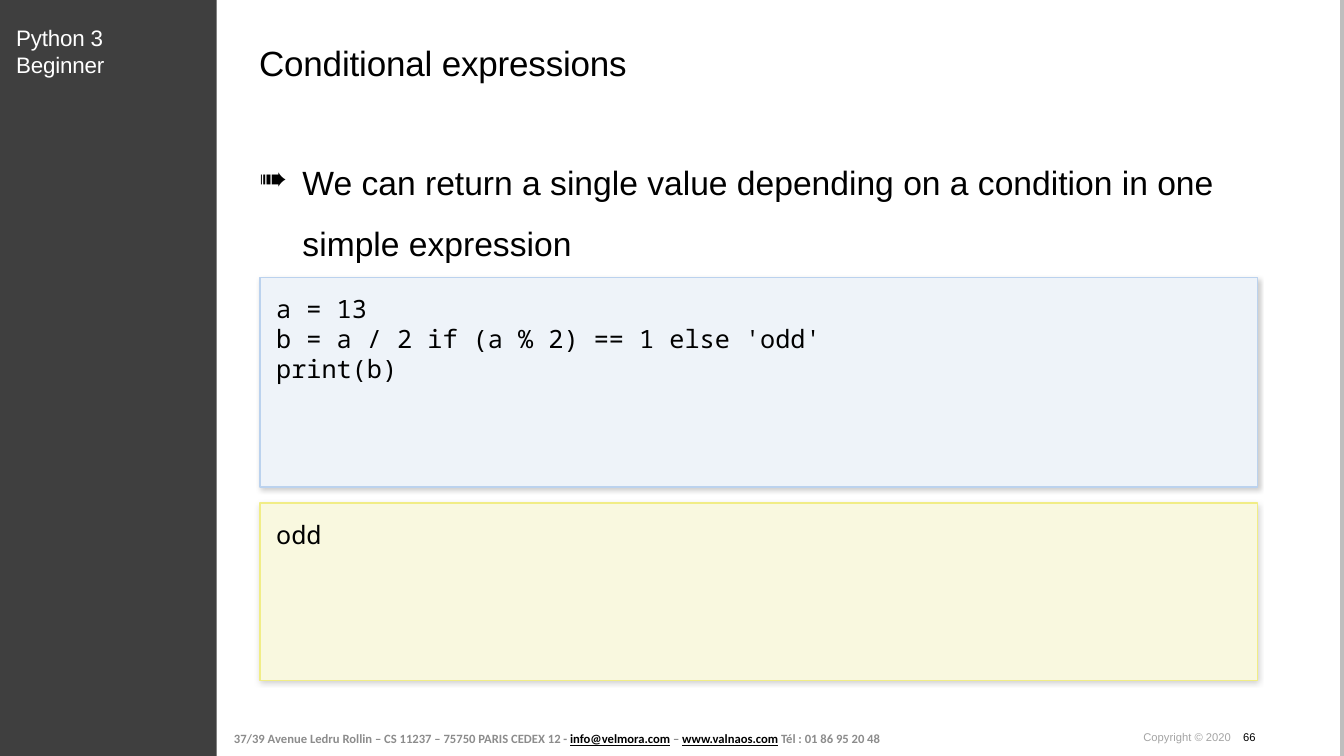
from dataclasses import dataclass

from lxml import etree
from pptx import Presentation
from pptx import util as u
from pptx.dml.color import RGBColor
from pptx.enum import shapes, text
from pptx.oxml import ns


@dataclass(frozen=True)
class Theme:
    sans: str = "Arial"
    footer_font: str = "Calibri"
    mono: str = "Noto Sans Mono"
    ink: str = "000000"
    white: str = "FFFFFF"
    sidebar: str = "3F3F3F"
    edge: str = "BEBEBE"
    footer: str = "8C8C8C"
    copyright: str = "A4A4A4"
    code: tuple = ("EEF3F9", "BBD2EE")
    output: tuple = ("F9F8DF", "F1ED86")
    title_size: float = 25
    body_size: float = 24
    code_size: float = 18
    course_size: float = 16
    footer_size: float = 9
    copyright_size: float = 8


T = Theme()
COURSE = "Python 3 Beginner"
TITLE = "Conditional expressions"
POINT = "We can return a single value depending on a condition in one simple expression"
CODE = ["a = 13", "b = a / 2 if (a % 2) == 1 else 'odd'", "print(b)"]
OUTPUT = ["odd"]
ADDRESS = [
    ("37/39 Avenue Ledru Rollin – CS 11237 – 75750 PARIS CEDEX 12 - ", False),
    ("info@velmora.com", True),
    (" – ", False),
    ("www.valnaos.com", True),
    (" Tél : 01 86 95 20 48", False),
]
COPYRIGHT = "Copyright © 2020"
PAGE = "66"

WIDTH, HEIGHT = 13.33, 7.5
SIDEBAR_WIDTH = 2.15
LEFT, PANEL_WIDTH = 2.58, 9.89
PANEL_TOP, PANEL_GAP = 2.75, 0.16
PANELS = [(CODE, T.code, 2.08), (OUTPUT, T.output, 1.76)]
BULLET_INDENT = 0.43
PAGE_TAB = 0.99


def rgb(value):
    return RGBColor.from_string(value)


def child(parent, tag, **attrs):
    return etree.SubElement(parent, ns.qn(tag), attrs)


def add_run(p, words, size, color, font=T.sans, spacing=0):
    r = p.add_run()
    r.text = words
    r.font.size = u.Pt(size)
    r.font.name = font
    r.font.color.rgb = rgb(color)
    if spacing:
        r.font._element.set("spc", str(spacing))
    return r


def set_frame(sp, inset_x=0, inset_y=0, anchor=text.MSO_ANCHOR.TOP):
    tf = sp.text_frame
    tf.word_wrap = True
    tf.auto_size = text.MSO_AUTO_SIZE.NONE
    tf.vertical_anchor = anchor
    tf.margin_left = tf.margin_right = u.Inches(inset_x)
    tf.margin_top = tf.margin_bottom = u.Inches(inset_y)
    tf.paragraphs[0].alignment = text.PP_ALIGN.LEFT
    return tf


def add_text(slide, x, y, w, h, **frame):
    sp = slide.shapes.add_textbox(*map(u.Inches, (x, y, w, h)))
    return set_frame(sp, **frame).paragraphs[0]


def add_rect(slide, x, y, w, h, fill):
    sp = slide.shapes.add_shape(
        shapes.MSO_SHAPE.RECTANGLE, *map(u.Inches, (x, y, w, h)))
    sp.shadow.inherit = False
    sp.fill.solid()
    sp.fill.fore_color.rgb = rgb(fill)
    sp.line.fill.background()
    return sp


def add_panel(slide, y, h, lines, colors):
    fill, border = colors
    sp = add_rect(slide, LEFT, y, PANEL_WIDTH, h, fill)
    sp.line.color.rgb = rgb(border)
    sp.line.width = u.Pt(1)
    effects = sp._element.spPr.find(ns.qn("a:effectLst"))
    shadow = child(effects, "a:outerShdw", blurRad=str(u.Pt(4)),
                   dist=str(u.Pt(1)), dir="5400000", rotWithShape="0")
    shade = child(shadow, "a:srgbClr", val=T.ink)
    child(shade, "a:alpha", val="20000")
    tf = set_frame(sp, 0.16, 0.16)
    for i, line in enumerate(lines):
        p = tf.add_paragraph() if i else tf.paragraphs[0]
        p.alignment = text.PP_ALIGN.LEFT
        add_run(p, line, T.code_size, T.ink, T.mono)


def add_frame(slide):
    edge = slide.shapes.add_connector(
        shapes.MSO_CONNECTOR.STRAIGHT,
        *map(u.Inches, (13.31, 0, 13.31, HEIGHT)))
    edge.line.color.rgb = rgb(T.edge)
    edge.line.width = u.Pt(3.34)
    child(edge._element.spPr, "a:effectLst")
    add_rect(slide, 0, 0, SIDEBAR_WIDTH, HEIGHT, T.sidebar)
    p = add_text(slide, 0.16, 0.24, 1.7, 0.54)
    add_run(p, COURSE, T.course_size, T.white, spacing=-10)


def add_title(slide):
    sp = slide.shapes.title
    sp.left, sp.top, sp.width, sp.height = map(
        u.Inches, (LEFT - 0.01, 0.41, PANEL_WIDTH, 0.42))
    p = set_frame(sp).paragraphs[0]
    add_run(p, TITLE, T.title_size, T.ink, spacing=-10)


def add_point(slide):
    p = add_text(slide, LEFT - 0.01, 1.41, 10.01, 1.14)
    pPr = p._p.get_or_add_pPr()
    pPr.set("marL", str(u.Inches(BULLET_INDENT)))
    pPr.set("indent", str(-u.Inches(BULLET_INDENT)))
    child(pPr, "a:buChar", char="➠")
    p.line_spacing = 1.5
    add_run(p, POINT, T.body_size, T.ink)


def add_footer(slide):
    p = add_text(slide, 2.25, 7.17, 6.68, 0.32, inset_x=0.07, inset_y=0.04,
                 anchor=text.MSO_ANCHOR.MIDDLE)
    for words, linked in ADDRESS:
        r = add_run(p, words, T.footer_size, T.ink if linked else T.footer,
                    T.footer_font)
        r.font.bold = True
        r.font.underline = linked
    p = add_text(slide, 11.34, 7.25, 1.72, 0.13)
    tabs = child(p._p.get_or_add_pPr(), "a:tabLst")
    child(tabs, "a:tab", pos=str(u.Inches(PAGE_TAB)), algn="l")
    add_run(p, COPYRIGHT + "\t", T.copyright_size, T.copyright)
    add_run(p, PAGE, T.copyright_size, T.ink)


def main():
    prs = Presentation()
    prs.slide_width, prs.slide_height = u.Inches(WIDTH), u.Inches(HEIGHT)
    slide = prs.slides.add_slide(prs.slide_layouts[5])
    add_frame(slide)
    add_title(slide)
    add_point(slide)
    y = PANEL_TOP
    for lines, colors, h in PANELS:
        add_panel(slide, y, h, lines, colors)
        y += h + PANEL_GAP
    add_footer(slide)
    prs.save("out.pptx")


if __name__ == "__main__":
    main()
